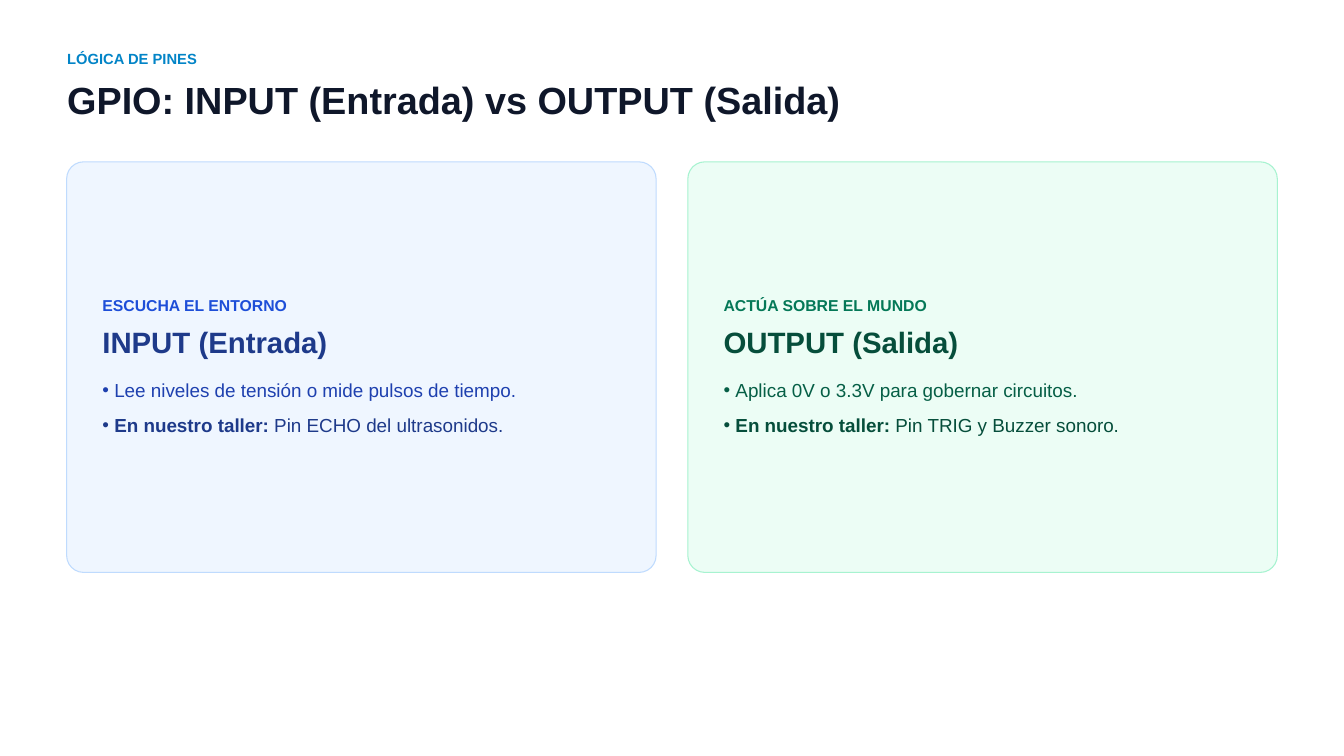
from lxml import etree
from pptx import Presentation
from pptx.dml.color import RGBColor
from pptx.enum import shapes, text
from pptx.oxml import ns
from pptx.util import Cm, Pt

FONT = "Arial"
SKY = RGBColor(0x02, 0x84, 0xC7)
INK = RGBColor(0x0F, 0x17, 0x2A)
BLUE = {
    "fill": RGBColor(0xEF, 0xF6, 0xFF),
    "border": RGBColor(0xBF, 0xDB, 0xFE),
    "kicker": RGBColor(0x1D, 0x4E, 0xD8),
    "dark": RGBColor(0x1E, 0x3A, 0x8A),
    "body": RGBColor(0x1E, 0x40, 0xAF),
}
GREEN = {
    "fill": RGBColor(0xEC, 0xFD, 0xF5),
    "border": RGBColor(0xA7, 0xF3, 0xD0),
    "kicker": RGBColor(0x04, 0x78, 0x57),
    "dark": RGBColor(0x06, 0x4E, 0x3B),
    "body": RGBColor(0x06, 0x5F, 0x46),
}

SLIDE_W, SLIDE_H = 50.8, 28.58
MARGIN, CARD_TOP, CARD_W, CARD_H = 2.52, 6.12, 22.28, 15.52
CARD_PAD, CARD_TEXT_W = 1.35, 23.44
RADIUS, BULLET_INDENT = 0.64, 0.45


def add_bullet(paragraph):
    """Give a paragraph a round bullet with a hanging indent."""
    props = paragraph._p.get_or_add_pPr()
    props.set("marL", str(Cm(BULLET_INDENT)))
    props.set("indent", str(-Cm(BULLET_INDENT)))
    etree.SubElement(props, ns.qn("a:buFont"), typeface=FONT)
    etree.SubElement(props, ns.qn("a:buChar"), char="•")


def add_line(slide, box, runs, size, leading, color, bullet=False):
    """Place one line of (wording, bold) runs in a box given in centimetres."""
    frame = slide.shapes.add_textbox(*map(Cm, box)).text_frame
    layout = {
        "margin_left": 0, "margin_top": 0, "margin_right": 0, "margin_bottom": 0,
        "word_wrap": True, "auto_size": text.MSO_AUTO_SIZE.SHAPE_TO_FIT_TEXT,
    }
    for name, value in layout.items():
        setattr(frame, name, value)
    paragraph = frame.paragraphs[0]
    paragraph.line_spacing = Pt(leading)
    if bullet:
        add_bullet(paragraph)
    for wording, bold in runs:
        run = paragraph.add_run()
        run.text = wording
        for name, value in {"name": FONT, "size": Pt(size), "bold": bold}.items():
            setattr(run.font, name, value)
        run.font.color.rgb = color


def add_header(slide, left, top, width, kicker, title):
    """Place the section label and the slide title."""
    add_line(slide, (left, top, width, 0.74), [(kicker, True)], 15.8, 18.9, SKY)
    add_line(slide, (left, top + 1.02, width, 1.83), [(title, True)], 40.5, 48.6, INK)


def add_card(slide, left, top, width, height, colors, kicker, title, action, example):
    """Draw a rounded card with its label, heading and two bullets."""
    card = slide.shapes.add_shape(
        shapes.MSO_SHAPE.ROUNDED_RECTANGLE, *map(Cm, (left, top, width, height)))
    card.adjustments[0] = RADIUS / height
    card.shadow.inherit = False
    card.fill.solid()
    card.fill.fore_color.rgb = colors["fill"]
    card.line.color.rgb = colors["border"]
    card.line.width = Pt(1.13)

    lines = [
        (5.05, 0.81, [(kicker, True)], 16.9, 20.2, "kicker", False),
        (6.12, 1.45, [(title, True)], 31.5, 37.8, "dark", False),
        (8.18, 0.94, [(action, False)], 20.2, 24.3, "body", True),
        (9.5, 0.94, [("En nuestro taller:", True), (" " + example, False)],
         20.2, 24.3, "dark", True),
    ]
    for offset, line_h, runs, size, leading, role, bullet in lines:
        box = (left + CARD_PAD, top + offset, CARD_TEXT_W, line_h)
        add_line(slide, box, runs, size, leading, colors[role], bullet)


def main():
    """Build the slide and save it."""
    deck = Presentation()
    deck.slide_width, deck.slide_height = Cm(SLIDE_W), Cm(SLIDE_H)
    slide = deck.slides.add_slide(deck.slide_layouts[6])
    add_header(slide, 2.54, 1.88, SLIDE_W - 2.54,
               "LÓGICA DE PINES", "GPIO: INPUT (Entrada) vs OUTPUT (Salida)")
    cards = [
        (BLUE, "ESCUCHA EL ENTORNO", "INPUT (Entrada)",
         "Lee niveles de tensión o mide pulsos de tiempo.",
         "Pin ECHO del ultrasonidos."),
        (GREEN, "ACTÚA SOBRE EL MUNDO", "OUTPUT (Salida)",
         "Aplica 0V o 3.3V para gobernar circuitos.",
         "Pin TRIG y Buzzer sonoro."),
    ]
    step = SLIDE_W - 2 * MARGIN - CARD_W
    for column, content in enumerate(cards):
        add_card(slide, MARGIN + column * step, CARD_TOP, CARD_W, CARD_H, *content)
    deck.save("out.pptx")


if __name__ == "__main__":
    main()
